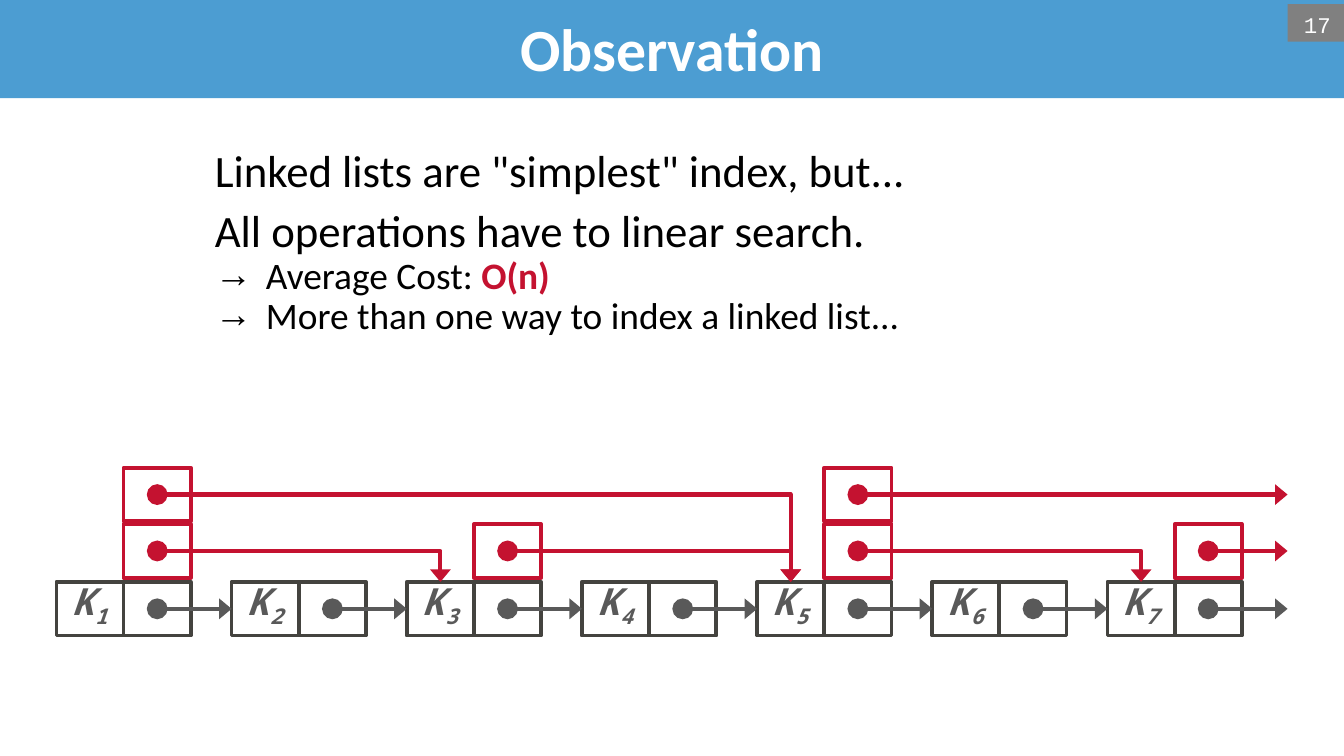
from dataclasses import dataclass

from lxml import etree
from pptx import Presentation
from pptx import util as u
from pptx.dml.color import RGBColor
from pptx.enum import shapes, text
from pptx.oxml import ns

COLOURS = {
    "banner": "4C9DD2",
    "badge": "808080",
    "white": "FFFFFF",
    "black": "000000",
    "red": "C41230",
    "border": "44433F",
    "grey": "595959",
}
FORMATS = {
    "title": {"name": "Calibri", "size": u.Pt(32), "bold": True},
    "statement": {"name": "Calibri", "size": u.Pt(24)},
    "detail": {"name": "Calibri", "size": u.Pt(20)},
    "cost": {"name": "Calibri", "size": u.Pt(20), "bold": True},
    "number": {"name": "Courier New", "size": u.Pt(12)},
    "key": {"name": "Noto Sans Mono", "size": u.Pt(20), "bold": True, "italic": True},
}
KEY_FRAME = {
    "vertical_anchor": text.MSO_ANCHOR.BOTTOM,
    "margin_left": u.Inches(0.05),
    "margin_right": u.Inches(0.05),
}
TITLE_FRAME = {
    "vertical_anchor": text.MSO_ANCHOR.MIDDLE,
    "margin_left": 0,
    "margin_right": 0,
}
NUMBER_FRAME = {"vertical_anchor": text.MSO_ANCHOR.TOP}
STATEMENT = {"line_spacing": 0.9, "space_before": u.Pt(6)}
DETAIL = {"line_spacing": 0.9}
TIPS = {
    "a:headEnd": {"type": "oval", "w": "lg", "len": "lg"},
    "a:tailEnd": {"type": "triangle", "w": "lg", "len": "med"},
}

SLIDE_W = 10
SLIDE_H = SLIDE_W * 9 / 16
CELL_W, CELL_H = 0.5, 0.4
NODE_COUNT = 7
FIRST_LEFT, LAST_LEFT = 0.42, 8.24
PITCH = (LAST_LEFT - FIRST_LEFT) / (NODE_COUNT - 1)
END_X = 9.58
LEVEL_TOPS = (4.33, 3.9, 3.48)


@dataclass
class Box:
    left: float
    top: float
    width: float
    height: float
    fill: str
    line: str = ""


@dataclass
class Pointer:
    level: int
    source: int
    target: int


POINTERS = [
    Pointer(1, 1, 3),
    Pointer(1, 3, 5),
    Pointer(1, 5, 7),
    Pointer(1, 7, 8),
    Pointer(2, 1, 5),
    Pointer(2, 5, 8),
]


def apply(target, values: dict) -> None:
    for attribute, value in values.items():
        setattr(target, attribute, value)


def rgb(colour: str) -> RGBColor:
    return RGBColor.from_string(COLOURS[colour])


def add_run(paragraph, words: str, style: str, colour: str):
    run = paragraph.add_run()
    run.text = words
    apply(run.font, FORMATS[style])
    run.font.color.rgb = rgb(colour)
    return run


def add_bullet(paragraph, symbol: str) -> None:
    properties = paragraph._p.get_or_add_pPr()
    properties.set("marL", str(u.Inches(0.38)))
    properties.set("indent", str(-u.Inches(0.38)))
    etree.SubElement(properties, ns.qn("a:buFont")).set("typeface", "Arial")
    etree.SubElement(properties, ns.qn("a:buChar")).set("char", symbol)


def draw_box(slide, box: Box):
    area = map(u.Inches, (box.left, box.top, box.width, box.height))
    shape = slide.shapes.add_shape(shapes.MSO_SHAPE.RECTANGLE, *area)
    shape.shadow.inherit = False
    shape.fill.solid()
    shape.fill.fore_color.rgb = rgb(box.fill)
    if box.line:
        shape.line.color.rgb = rgb(box.line)
        shape.line.width = u.Pt(2)
    else:
        shape.line.fill.background()
    return shape


def start_text(shape, frame: dict, align):
    apply(shape.text_frame, frame)
    paragraph = shape.text_frame.paragraphs[0]
    paragraph.alignment = align
    return paragraph


def draw_arrow(slide, start: tuple, end: tuple, colour: str) -> None:
    bent = start[1] != end[1]
    kind = shapes.MSO_CONNECTOR.ELBOW if bent else shapes.MSO_CONNECTOR.STRAIGHT
    arrow = slide.shapes.add_connector(kind, *map(u.Inches, (*start, *end)))
    arrow.line.color.rgb = rgb(colour)
    arrow.line.width = u.Pt(2.25)
    properties = arrow._element.spPr
    if bent:
        properties.find(ns.qn("a:prstGeom")).set("prst", "bentConnector2")
    for tag, tip in TIPS.items():
        etree.SubElement(properties.find(ns.qn("a:ln")), ns.qn(tag), tip)
    etree.SubElement(properties, ns.qn("a:effectLst"))


def node_left(node: int) -> float:
    return FIRST_LEFT + (node - 1) * PITCH


def draw_cell(slide, left: float, level: int, line: str):
    return draw_box(slide, Box(left, LEVEL_TOPS[level], CELL_W, CELL_H, "white", line))


def draw_node(slide, node: int) -> None:
    key = draw_cell(slide, node_left(node), 0, "border")
    label = start_text(key, KEY_FRAME, text.PP_ALIGN.CENTER)
    add_run(label, "K", "key", "grey")
    index = add_run(label, str(node), "key", "grey")
    index._r.get_or_add_rPr().set("baseline", "-25000")
    draw_cell(slide, node_left(node) + CELL_W, 0, "border")


def draw_pointer(slide, pointer: Pointer, colour: str) -> None:
    start = (node_left(pointer.source) + 1.5 * CELL_W, LEVEL_TOPS[pointer.level] + CELL_H / 2)
    if pointer.target > NODE_COUNT:
        end = (END_X, start[1])
    elif pointer.level:
        end = (node_left(pointer.target) + CELL_W / 2, LEVEL_TOPS[0])
    else:
        end = (node_left(pointer.target), start[1])
    draw_arrow(slide, start, end, colour)


def draw_body(slide) -> None:
    area = map(u.Inches, (1.5, 1.06, 7, 4))
    body = slide.shapes.add_textbox(*area).text_frame
    body.word_wrap = True
    opening = body.paragraphs[0]
    opening.line_spacing = 0.9
    add_run(opening, 'Linked lists are "simplest" index, but...', "statement", "black")
    search = body.add_paragraph()
    apply(search, STATEMENT)
    add_run(search, "All operations have to linear search.", "statement", "black")
    for words, cost in (("Average Cost: ", "O(n)"), ("More than one way to index a linked list...", "")):
        detail = body.add_paragraph()
        detail.level = 1
        apply(detail, DETAIL)
        add_bullet(detail, "→")
        add_run(detail, words, "detail", "black")
        if cost:
            add_run(detail, cost, "cost", "red")


def main() -> None:
    deck = Presentation()
    deck.slide_width, deck.slide_height = u.Inches(SLIDE_W), u.Inches(SLIDE_H)
    slide = deck.slides.add_slide(deck.slide_layouts[6])

    banner = draw_box(slide, Box(0, -0.02, SLIDE_W, 0.75, "banner"))
    add_run(start_text(banner, TITLE_FRAME, text.PP_ALIGN.CENTER), "Observation", "title", "white")
    draw_body(slide)
    badge = draw_box(slide, Box(9.58, 0.03, 0.42, 0.28, "badge"))
    add_run(start_text(badge, NUMBER_FRAME, text.PP_ALIGN.RIGHT), "17", "number", "white")

    for node in range(1, NODE_COUNT + 1):
        draw_node(slide, node)
    for pointer in POINTERS:
        draw_cell(slide, node_left(pointer.source) + CELL_W, pointer.level, "red")
    for pointer in POINTERS:
        draw_pointer(slide, pointer, "red")
    for node in range(1, NODE_COUNT + 1):
        draw_pointer(slide, Pointer(0, node, node + 1), "grey")
    deck.save("out.pptx")


if __name__ == "__main__":
    main()
